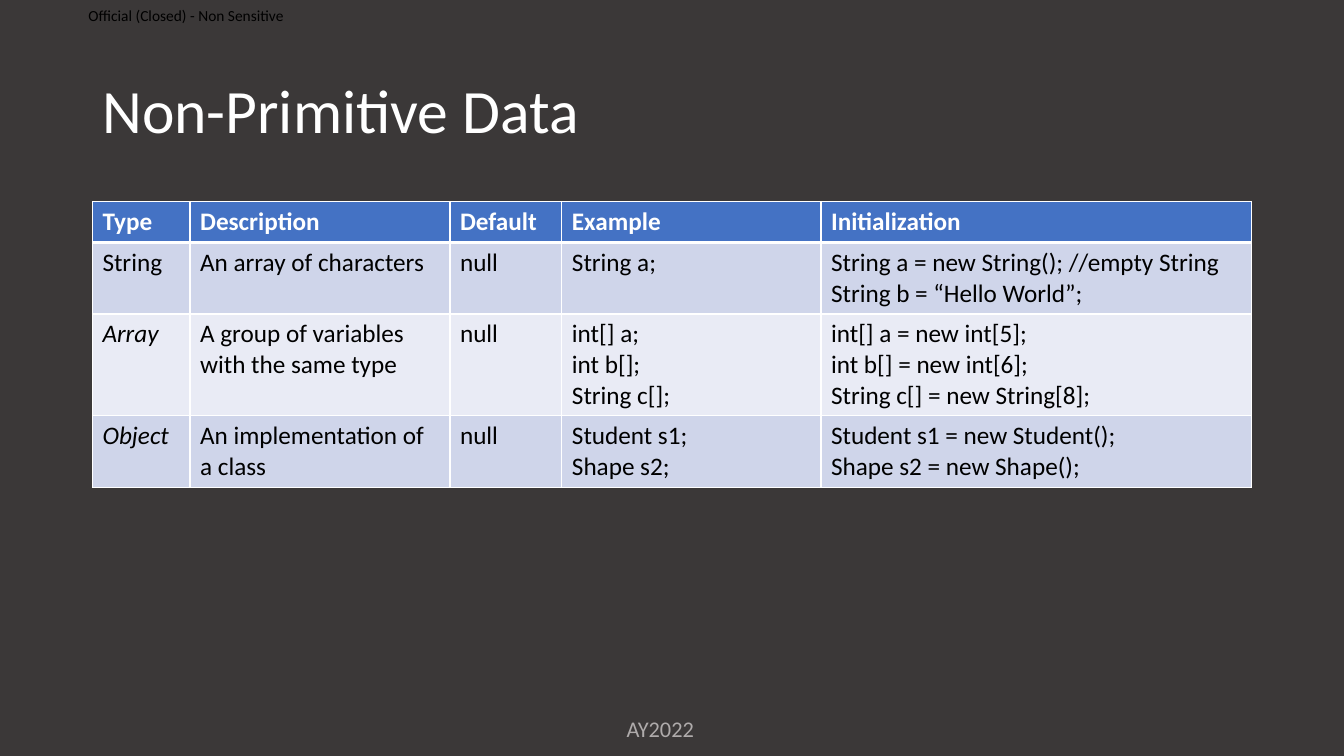
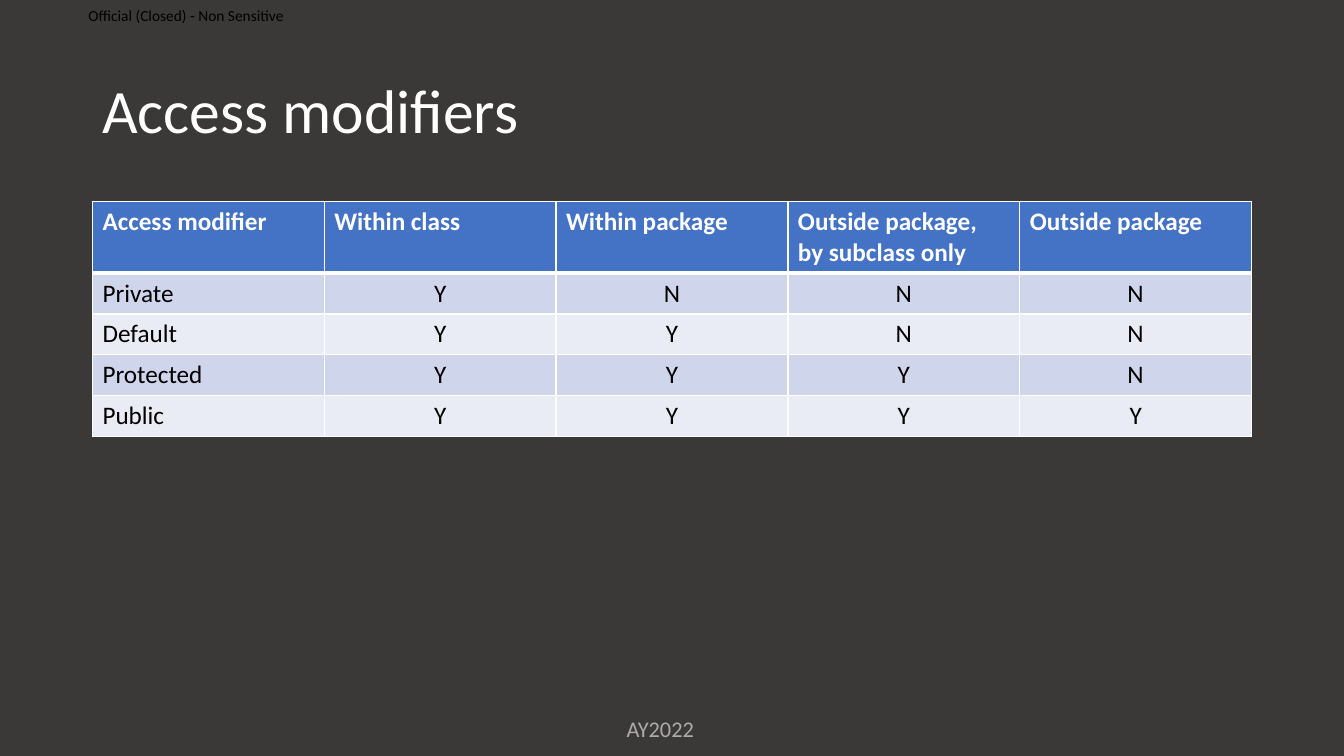
import pptx
import pptx.util
import pptx.dml.color
import pptx.enum.text
import pptx.oxml
import pptx.oxml.ns
from pptx.util import Cm

FONT = "Calibri"
BACKGROUND = "3B3838"
WHITE = "FFFFFF"
BLACK = "000000"
FOOTER_GREY = "AFABAB"
HEADER_BLUE = "4472C4"
BANDS = ("CFD5EA", "E9EBF5")

LEFT, CONTENT_WIDTH = 2.33, 29.21
TABLE_TOP = 5.08
FIRST_LINE, EXTRA_LINE = 1.03, 0.77

ALIGN = pptx.enum.text.PP_ALIGN
ANCHOR = pptx.enum.text.MSO_ANCHOR

DATA_TYPES = [
    ["Type", "Description", "Default", "Example", "Initialization"],
    ["String", "An array of characters", "null", "String a;",
     "String a = new String(); //empty String\nString b = “Hello World”;"],
    ["Array", "A group of variables with the same type", "null",
     "int[] a;\nint b[];\nString c[];",
     "int[] a = new int[5];\nint b[] = new int[6];\nString c[] = new String[8];"],
    ["Object", "An implementation of a class", "null", "Student s1;\nShape s2;",
     "Student s1 = new Student();\nShape s2 = new Shape();"],
]
DATA_TYPE_WIDTHS = [2.46, 6.55, 2.82, 6.53, 10.85]

ACCESS_MODIFIERS = [
    ["Access modifier", "Within class", "Within package",
     "Outside package,\nby subclass only", "Outside package"],
    ["Private", *"YNNN"],
    ["Default", *"YYNN"],
    ["Protected", *"YYYN"],
    ["Public", *"YYYY"],
]
ACCESS_WIDTHS = [CONTENT_WIDTH / 5] * 5


def color(value):
    return pptx.dml.color.RGBColor.from_string(value)


def write(frame, text, size=18, fill=BLACK, bold=False, italic=False,
          align=ALIGN.LEFT, spacing=1.0):
    for index, line in enumerate(text.split("\n")):
        paragraph = frame.add_paragraph() if index else frame.paragraphs[0]
        paragraph.alignment = align
        paragraph.line_spacing = spacing
        run = paragraph.add_run()
        run.text = line
        run.font.name = FONT
        run.font.size = pptx.util.Pt(size)
        run.font.bold = bold
        run.font.italic = italic
        run.font.color.rgb = color(fill)


def add_label(slide, text, left, top, width, height, anchor=ANCHOR.MIDDLE,
              margins=None, **text_format):
    box = slide.shapes.add_textbox(Cm(left), Cm(top), Cm(width), Cm(height))
    frame = box.text_frame
    frame.word_wrap = True
    frame.vertical_anchor = anchor
    if margins:
        (frame.margin_left, frame.margin_top,
         frame.margin_right, frame.margin_bottom) = map(Cm, margins)
    write(frame, text, **text_format)


def set_borders(cell, top=1, bottom=1):
    properties = cell._tc.get_or_add_tcPr()
    sides = {"lnL": 1, "lnR": 1, "lnT": top, "lnB": bottom}
    for position, (side, points) in enumerate(sides.items()):
        border = pptx.oxml.parse_xml(
            f'<a:{side} {pptx.oxml.ns.nsdecls("a")} w="{pptx.util.Pt(points)}">'
            f'<a:solidFill><a:srgbClr val="{WHITE}"/></a:solidFill></a:{side}>')
        properties.insert(position, border)


def add_grid(slide, rows, widths, italic_labels=(), body_align=ALIGN.LEFT):
    heights = [FIRST_LINE + EXTRA_LINE * max(text.count("\n") for text in row)
               for row in rows]
    grid = slide.shapes.add_table(
        len(rows), len(widths), Cm(LEFT), Cm(TABLE_TOP),
        Cm(CONTENT_WIDTH), Cm(sum(heights))).table
    for column, width in zip(grid.columns, widths):
        column.width = Cm(width)
    for r, texts in enumerate(rows):
        grid.rows[r].height = Cm(heights[r])
        header = r == 0
        for c, text in enumerate(texts):
            cell = grid.cell(r, c)
            cell.fill.solid()
            cell.fill.fore_color.rgb = color(HEADER_BLUE if header else BANDS[(r - 1) % 2])
            set_borders(cell, top=3 if r == 1 else 1, bottom=3 if header else 1)
            write(cell.text_frame, text, fill=WHITE if header else BLACK, bold=header,
                  italic=text in italic_labels,
                  align=ALIGN.LEFT if header or c == 0 else body_align)


def add_titled_slide(deck, title):
    slide = deck.slides.add_slide(deck.slide_layouts[6])
    add_label(slide, "AY2022", 15.52, 17.2, 2.24, 1.63, anchor=ANCHOR.BOTTOM,
              size=16, fill=FOOTER_GREY, align=ALIGN.CENTER)
    add_label(slide, "Official (Closed) - Non Sensitive", 0, 0, 7.65, 0.79,
              margins=(2.23, 0, 0, 0), size=11)
    add_label(slide, title, LEFT, 1.01, CONTENT_WIDTH, 3.68,
              size=44, fill=WHITE, spacing=0.9)
    return slide


def main():
    deck = pptx.Presentation()
    deck.slide_width, deck.slide_height = Cm(33.87), Cm(19.05)
    backdrop = deck.slide_master.background.fill
    backdrop.solid()
    backdrop.fore_color.rgb = color(BACKGROUND)

    add_grid(add_titled_slide(deck, "Non-Primitive Data"), DATA_TYPES,
             DATA_TYPE_WIDTHS, italic_labels=("Array", "Object"))
    add_grid(add_titled_slide(deck, "Access modifiers"), ACCESS_MODIFIERS,
             ACCESS_WIDTHS, body_align=ALIGN.CENTER)
    deck.save("out.pptx")


if __name__ == "__main__":
    main()
